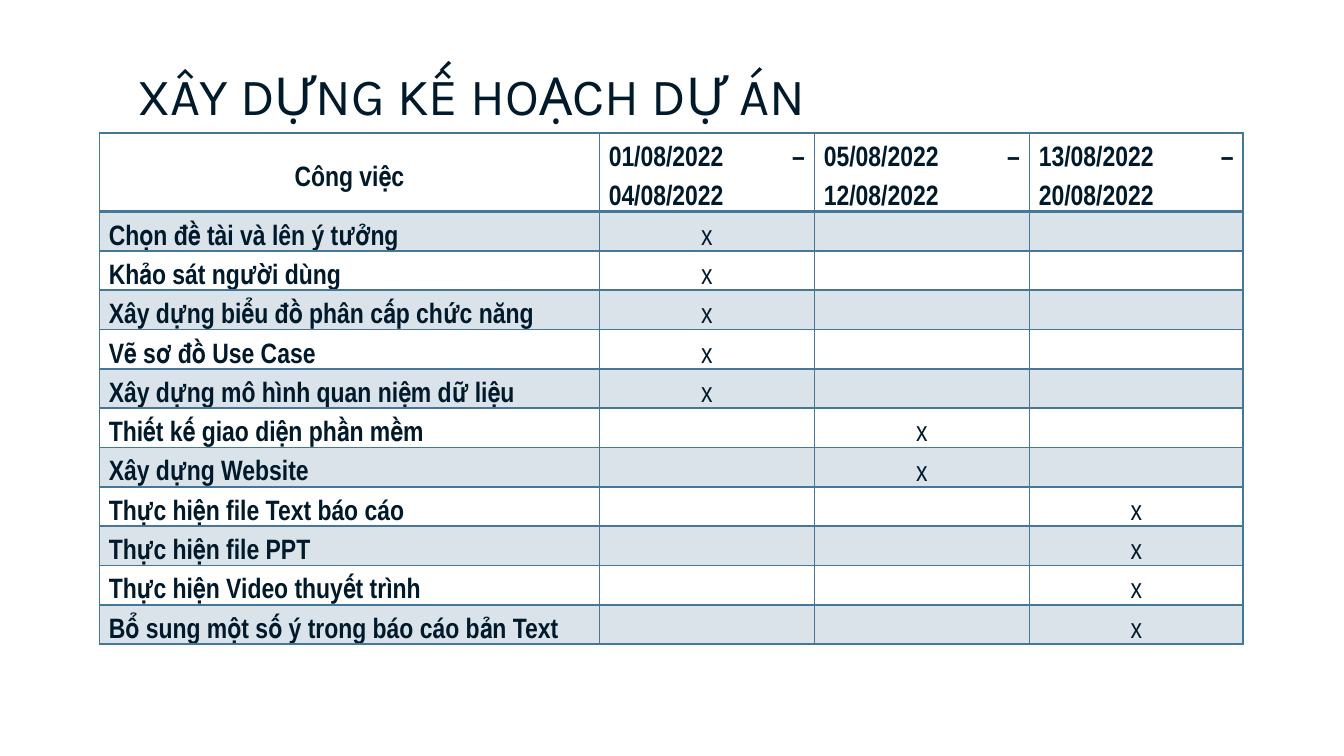
from lxml.etree import SubElement
from pptx import Presentation
from pptx.dml.color import RGBColor
from pptx.enum.text import MSO_ANCHOR, MSO_AUTO_SIZE, PP_ALIGN
from pptx.oxml.ns import qn
from pptx.util import Inches, Pt

INK = RGBColor(0x01, 0x1A, 0x2B)
STEEL = RGBColor(0x47, 0x77, 0x97)

PERIODS = ["01/08/2022 – 04/08/2022", "05/08/2022 – 12/08/2022", "13/08/2022 – 20/08/2022"]
# Each task with the index of the period it falls in
TASKS = [
    ("Chọn đề tài và lên ý tưởng", 0),
    ("Khảo sát người dùng", 0),
    ("Xây dựng biểu đồ phân cấp chức năng", 0),
    ("Vẽ sơ đồ Use Case", 0),
    ("Xây dựng mô hình quan niệm dữ liệu", 0),
    ("Thiết kế giao diện phần mềm", 1),
    ("Xây dựng Website", 1),
    ("Thực hiện file Text báo cáo", 2),
    ("Thực hiện file PPT", 2),
    ("Thực hiện Video thuyết trình", 2),
    ("Bổ sung một số ý trong báo cáo bản Text", 2),
]


def write(frame, text, font="Arial Narrow", size=15, bold=False,
          align=PP_ALIGN.JUSTIFY, spacing=1.5):
    paragraph = frame.paragraphs[0]
    paragraph.alignment = align
    paragraph.line_spacing = spacing
    run = paragraph.add_run()
    run.text = text
    run.font.name = font
    run.font.size = Pt(size)
    run.font.bold = bold
    run.font.color.rgb = INK


def add_border(cell, side, width):
    line = SubElement(cell._tc.get_or_add_tcPr(), qn(f"a:ln{side}"), w=str(Pt(width)))
    SubElement(SubElement(line, qn("a:solidFill")), qn("a:srgbClr"), val=str(STEEL))


# Widescreen slide, 16:9
prs = Presentation()
prs.slide_width = Inches(10)
prs.slide_height = Inches(10 * 9 / 16)
slide = prs.slides.add_slide(prs.slide_layouts[5])

# Title
title = slide.shapes.title
title.left, title.top = Inches(0.92), Inches(0.37)
title.width, title.height = Inches(5.51), Inches(0.65)
title_frame = title.text_frame
title_frame.auto_size = MSO_AUTO_SIZE.NONE
title_frame.word_wrap = True
title_frame.vertical_anchor = MSO_ANCHOR.TOP
title_frame.margin_left = title_frame.margin_right = Inches(0.1)
title_frame.margin_top = title_frame.margin_bottom = Inches(0.1)
write(title_frame, "XÂY DỰNG KẾ HOẠCH DỰ ÁN", font="Karla", size=28,
      align=PP_ALIGN.LEFT, spacing=1.0)

# Schedule grid
schedule = slide.shapes.add_table(
    len(TASKS) + 1, len(PERIODS) + 1,
    Inches(0.74), Inches(0.99), Inches(8.51), Inches(4.27)).table
for column, width in zip(schedule.columns, [3.72, 1.6, 1.6, 1.59]):
    column.width = Inches(width)
for index, row in enumerate(schedule.rows):
    row.height = Inches(0.27 if index else 0.58)

# Wording: header row, then one row for each task
rows = [["Công việc", *PERIODS]]
for task, period in TASKS:
    rows.append([task] + ["x" if i == period else "" for i in range(len(PERIODS))])

for r, texts in enumerate(rows):
    for c, text in enumerate(texts):
        cell = schedule.cell(r, c)
        cell.margin_left = cell.margin_right = Inches(0.07)
        cell.margin_top = cell.margin_bottom = 0
        centred = text == "x" or r == c == 0
        if centred:
            cell.vertical_anchor = MSO_ANCHOR.MIDDLE
        if text:
            write(cell.text_frame, text, bold=r == 0 or c == 0,
                  align=PP_ALIGN.CENTER if centred else PP_ALIGN.JUSTIFY)
        else:
            # A small end mark keeps empty cells from stretching the row
            SubElement(cell.text_frame.paragraphs[0]._p, qn("a:endParaRPr"), sz="1200")

        # Borders, heavier under the header
        for side in "LRTB":
            under_header = (r, side) in [(0, "B"), (1, "T")]
            add_border(cell, side, 2.25 if under_header else 1)

        # Tint on every other task row
        if r % 2:
            cell.fill.solid()
            cell.fill.fore_color.rgb = STEEL
            tint = cell._tc.tcPr.find(qn("a:solidFill")).find(qn("a:srgbClr"))
            SubElement(tint, qn("a:alpha"), val="20000")
        else:
            cell.fill.background()

prs.save("out.pptx")
